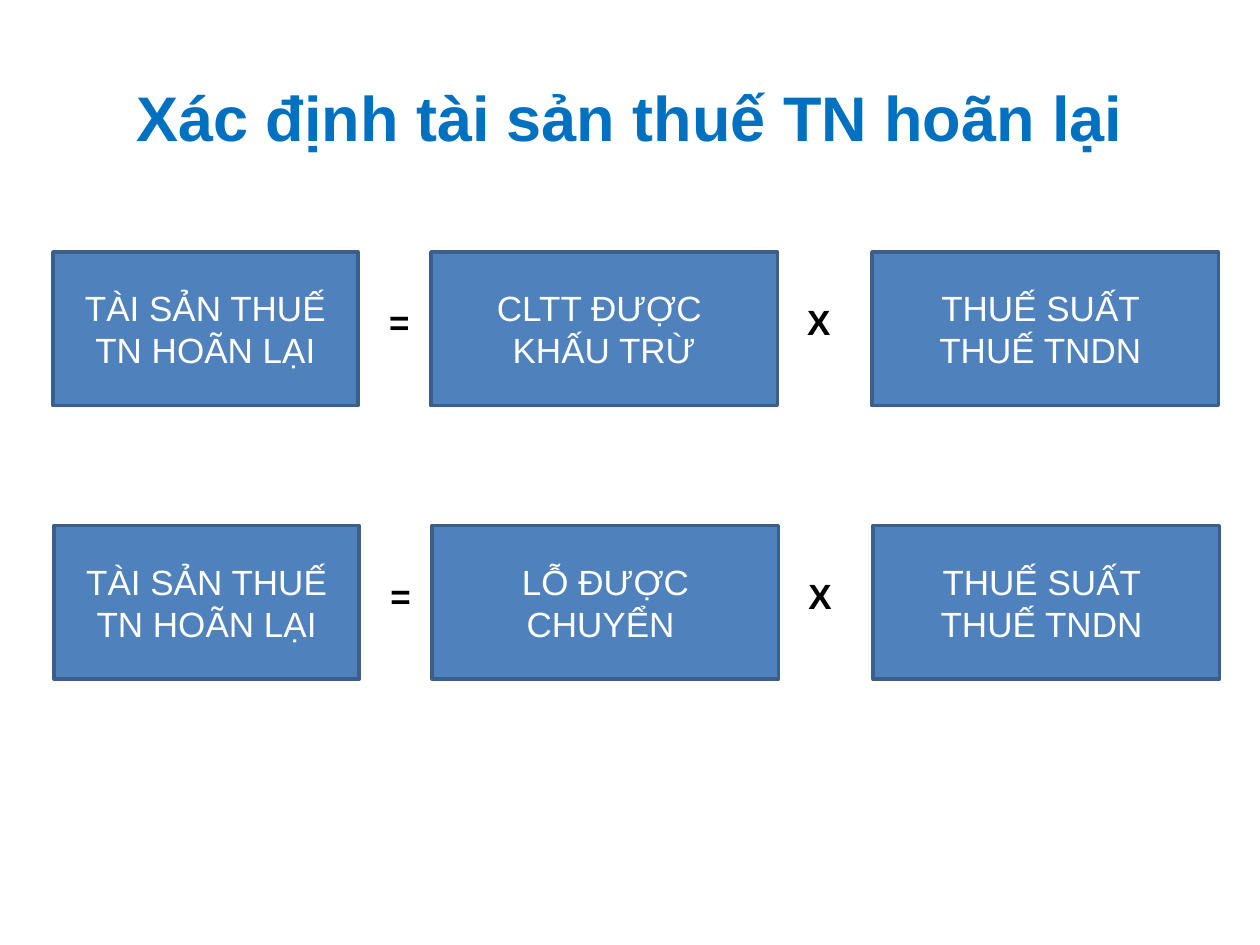
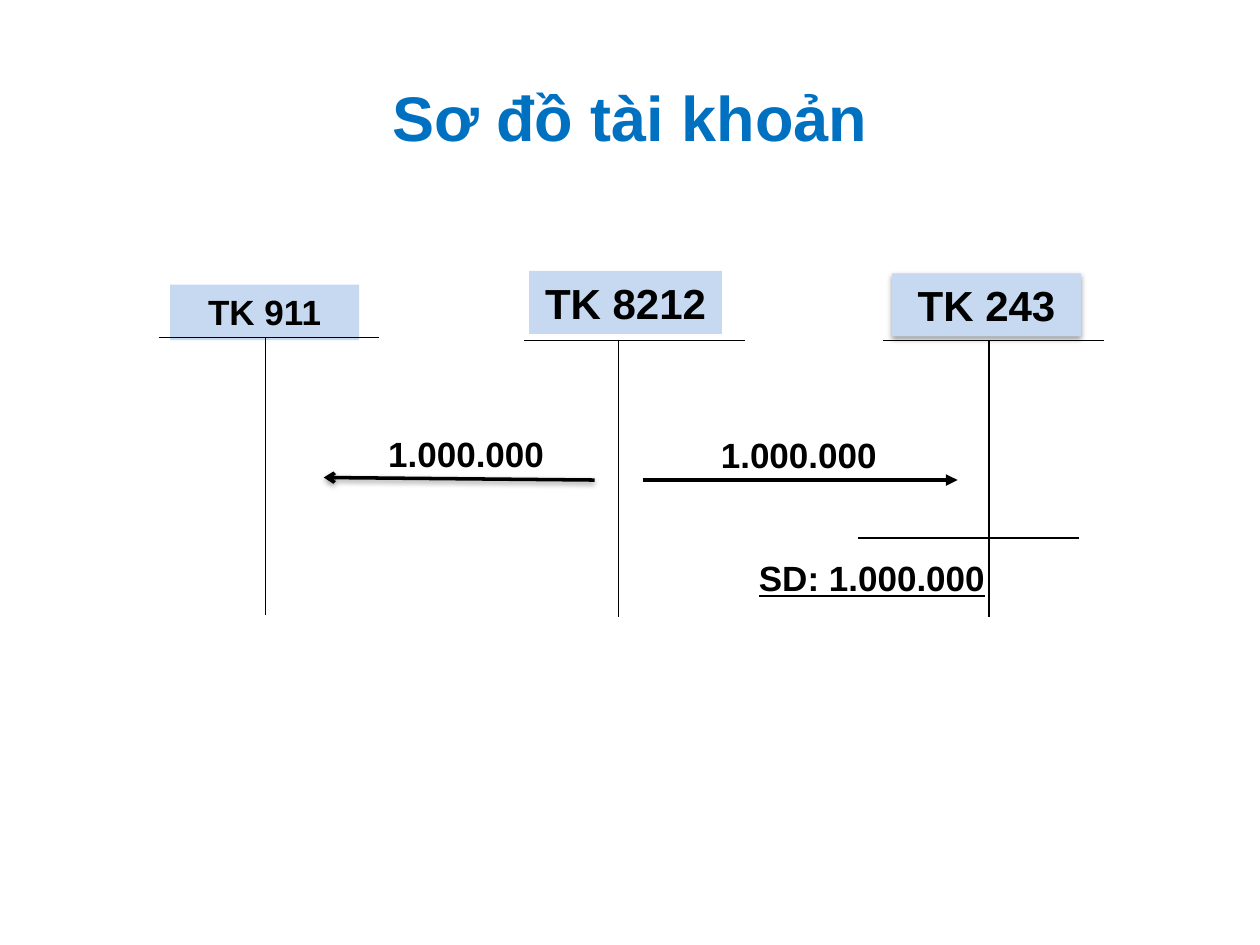
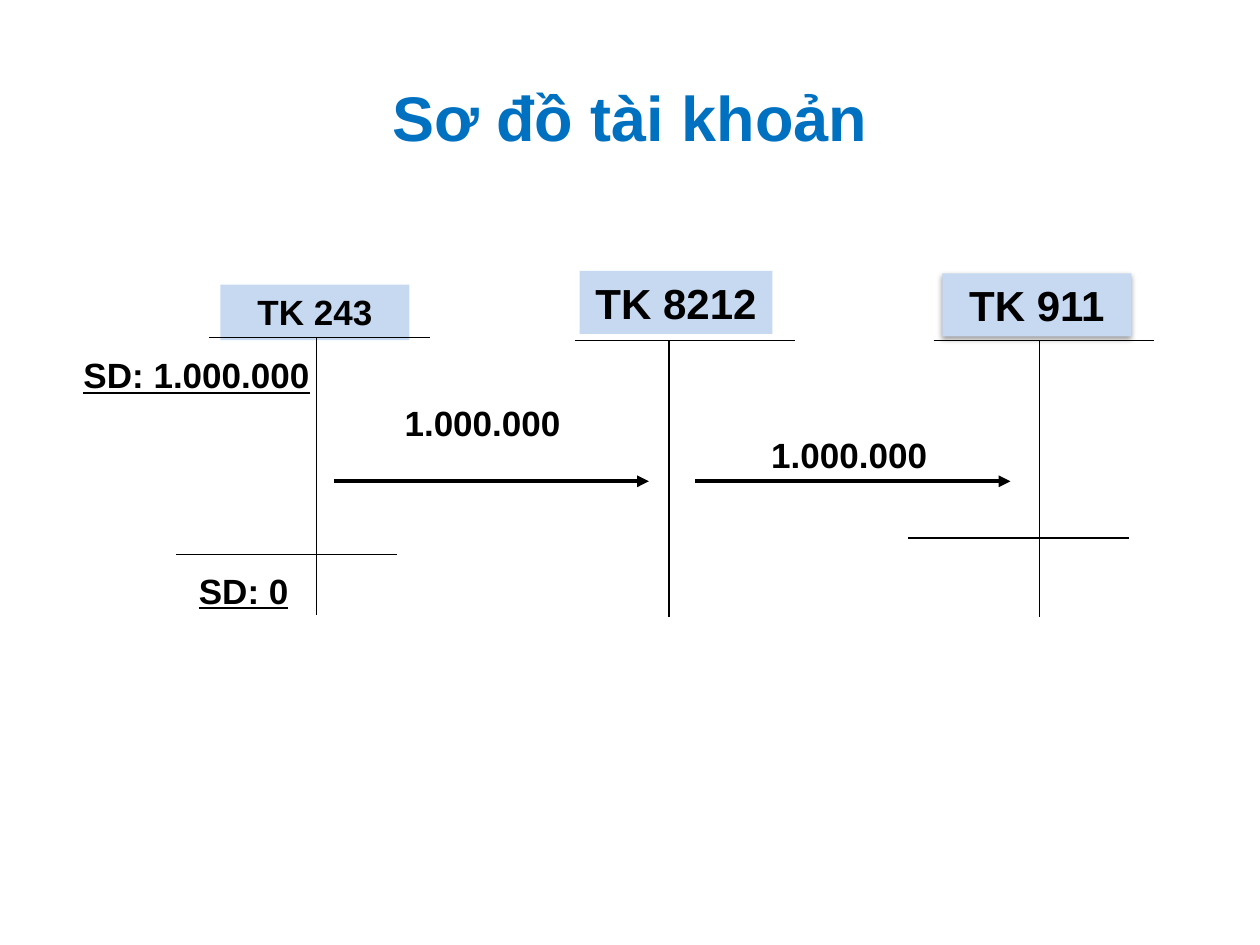
from dataclasses import dataclass

from lxml import etree
from pptx import Presentation
from pptx import util as u
from pptx.dml.color import RGBColor
from pptx.enum import shapes, text
from pptx.oxml.ns import qn

EMU_PER_PX = 9144
FONT = "Arial"
BLACK = "000000"
WHITE = "FFFFFF"
TITLE_BLUE = "0070C0"
BOX_BLUE = "4F81BD"
BOX_EDGE = "3A5F8C"
ACCOUNT_BLUE = "C6D9F1"
BAR_WIDTH = 175
STEM_HEIGHT = 220
HAIRLINE = 0.75
DIAGRAM_TITLE = "Sơ đồ tài khoản"
AMOUNT = "1.000.000"
BALANCE = "SD: 1.000.000"


@dataclass(frozen=True)
class Box:
    left: int
    top: int
    width: int
    height: int


@dataclass(frozen=True)
class TextStyle:
    size: int = 20
    color: str = BLACK
    bold: bool = True
    underline: bool = False
    align: text.PP_ALIGN = text.PP_ALIGN.CENTER
    anchor: text.MSO_ANCHOR = text.MSO_ANCHOR.TOP


@dataclass(frozen=True)
class AccountFrame:
    box: Box
    size: int
    bar_left: int
    bar_top: int
    stem: int
    shadow: bool = False


@dataclass(frozen=True)
class Label:
    words: str
    box: Box
    style: TextStyle = TextStyle()


@dataclass(frozen=True)
class Line:
    start: tuple[int, int]
    end: tuple[int, int]
    weight: float = HAIRLINE
    head: str = ""
    shadow: bool = False


TITLE_STYLE = TextStyle(36, TITLE_BLUE, anchor=text.MSO_ANCHOR.MIDDLE)
TERM_STYLE = TextStyle(color=WHITE, bold=False, anchor=text.MSO_ANCHOR.MIDDLE)
OPERATOR_STYLE = TextStyle(anchor=text.MSO_ANCHOR.MIDDLE)
BALANCE_STYLE = TextStyle(underline=True)
ZERO_STYLE = TextStyle(underline=True, align=text.PP_ALIGN.LEFT)

ACCOUNT_FRAMES = (
    AccountFrame(Box(135, 226, 150, 44), 20, 126, 268, 211),
    AccountFrame(Box(420, 215, 153, 50), 24, 416, 270, 491),
    AccountFrame(Box(708, 217, 150, 50), 24, 701, 270, 785, True),
)

TERM_SPANS = ((42, 242), (342, 275), (692, 275))
OPERATORS = (("=", 292), ("X", 625))
ASSET = "TÀI SẢN THUẾ TN HOÃN LẠI"
RATE = "THUẾ SUẤT \nTHUẾ TNDN "
FORMULAS = (
    (0, 200, (ASSET, "CLTT ĐƯỢC \nKHẤU TRỪ", RATE)),
    (1, 417, (ASSET, "LỖ ĐƯỢC CHUYỂN ", RATE)),
)


def px(value: int) -> u.Emu:
    return u.Emu(value * EMU_PER_PX)


def rgb(color: str) -> RGBColor:
    return RGBColor.from_string(color)


def place(box: Box) -> tuple[u.Emu, ...]:
    return px(box.left), px(box.top), px(box.width), px(box.height)


def set_effects(shape, shadow: bool) -> None:
    properties = shape._element.spPr
    for old_effects in properties.findall(qn("a:effectLst")):
        properties.remove(old_effects)
    effects = etree.SubElement(properties, qn("a:effectLst"))
    if shadow:
        outer = etree.SubElement(effects, qn("a:outerShdw"), blurRad="40000",
                                 dist="20000", dir="5400000", rotWithShape="0")
        color = etree.SubElement(outer, qn("a:srgbClr"), val=BLACK)
        etree.SubElement(color, qn("a:alpha"), val="38000")


def write(shape, words: str, style: TextStyle) -> None:
    frame = shape.text_frame
    frame.word_wrap = True
    frame.vertical_anchor = style.anchor
    frame.text = words
    for paragraph in frame.paragraphs:
        paragraph.alignment = style.align
        font = paragraph.font
        font.name = FONT
        font.size = u.Pt(style.size)
        font.bold = style.bold
        font.underline = style.underline
        font.color.rgb = rgb(style.color)


def add_label(slide, label: Label) -> None:
    write(slide.shapes.add_textbox(*place(label.box)), label.words, label.style)


def add_box(slide, label: Label, fill: str, edge: str = "", shadow: bool = False) -> None:
    shape = slide.shapes.add_shape(shapes.MSO_SHAPE.RECTANGLE, *place(label.box))
    shape.shadow.inherit = False
    shape.fill.solid()
    shape.fill.fore_color.rgb = rgb(fill)
    if edge:
        shape.line.color.rgb = rgb(edge)
        shape.line.width = u.Pt(2)
    else:
        shape.line.fill.background()
    if shadow:
        set_effects(shape, True)
    write(shape, label.words, label.style)


def add_line(slide, line: Line) -> None:
    connector = slide.shapes.add_connector(
        shapes.MSO_CONNECTOR.STRAIGHT, *map(px, line.start + line.end))
    connector.line.color.rgb = rgb(BLACK)
    connector.line.width = u.Pt(line.weight)
    if line.head:
        etree.SubElement(connector.line._get_or_add_ln(), qn("a:tailEnd"), type=line.head)
    set_effects(connector, line.shadow)


def add_bar(slide, left: int, top: int) -> None:
    add_line(slide, Line((left, top), (left + BAR_WIDTH, top)))


def add_account(slide, name: str, frame: AccountFrame, shift: int) -> None:
    box = Box(frame.box.left + shift, frame.box.top, frame.box.width, frame.box.height)
    add_box(slide, Label(name, box, TextStyle(frame.size)), ACCOUNT_BLUE, shadow=frame.shadow)
    add_bar(slide, frame.bar_left + shift, frame.bar_top)
    stem = frame.stem + shift
    add_line(slide, Line((stem, frame.bar_top), (stem, frame.bar_top + STEM_HEIGHT)))


def add_titled_slide(presentation, title: str):
    slide = presentation.slides.add_slide(presentation.slide_layouts[6])
    add_label(slide, Label(title, Box(50, 30, 900, 125), TITLE_STYLE))
    return slide


def add_formula_slide(presentation) -> None:
    slide = add_titled_slide(presentation, "Xác định tài sản thuế TN hoãn lại")
    for shift, top, terms in FORMULAS:
        for (left, width), term in zip(TERM_SPANS, terms):
            box = Box(left + shift, top, width, 122)
            add_box(slide, Label(term, box, TERM_STYLE), BOX_BLUE, BOX_EDGE)
        for sign, left in OPERATORS:
            add_label(slide, Label(sign, Box(left + shift, top + 22, 50, 67), OPERATOR_STYLE))


def add_account_slide(presentation, shift: int, names: tuple[str, ...],
                      footings: tuple[tuple[int, int], ...],
                      arrows: tuple[Line, ...], labels: tuple[Label, ...]) -> None:
    slide = add_titled_slide(presentation, DIAGRAM_TITLE)
    for name, frame in zip(names, ACCOUNT_FRAMES):
        add_account(slide, name, frame, shift)
    for left, top in footings:
        add_bar(slide, left, top)
    for arrow in arrows:
        add_line(slide, arrow)
    for label in labels:
        add_label(slide, label)


def main() -> None:
    presentation = Presentation()
    presentation.slide_width = px(1000)
    presentation.slide_height = px(750)
    add_formula_slide(presentation)
    add_account_slide(
        presentation, 0, ("TK 911", "TK 8212", "TK 243"),
        footings=((681, 427),),
        arrows=(Line((510, 381), (760, 381), 2.25, "triangle"),
                Line((472, 381), (257, 379), 2, "arrow", True)),
        labels=(Label(AMOUNT, Box(505, 339, 258, 44)),
                Label(AMOUNT, Box(241, 338, 258, 44)),
                Label(BALANCE, Box(563, 437, 258, 44), BALANCE_STYLE)),
    )
    add_account_slide(
        presentation, 40, ("TK 243", "TK 8212", "TK 911"),
        footings=((721, 427), (140, 440)),
        arrows=(Line((265, 382), (515, 382), 2.25, "triangle"),
                Line((552, 382), (802, 382), 2.25, "triangle")),
        labels=(Label(AMOUNT, Box(545, 339, 258, 44)),
                Label(AMOUNT, Box(254, 314, 258, 44)),
                Label(BALANCE, Box(27, 276, 258, 44), BALANCE_STYLE),
                Label("SD: 0", Box(148, 447, 227, 44), ZERO_STYLE)),
    )
    presentation.save("out.pptx")


if __name__ == "__main__":
    main()
